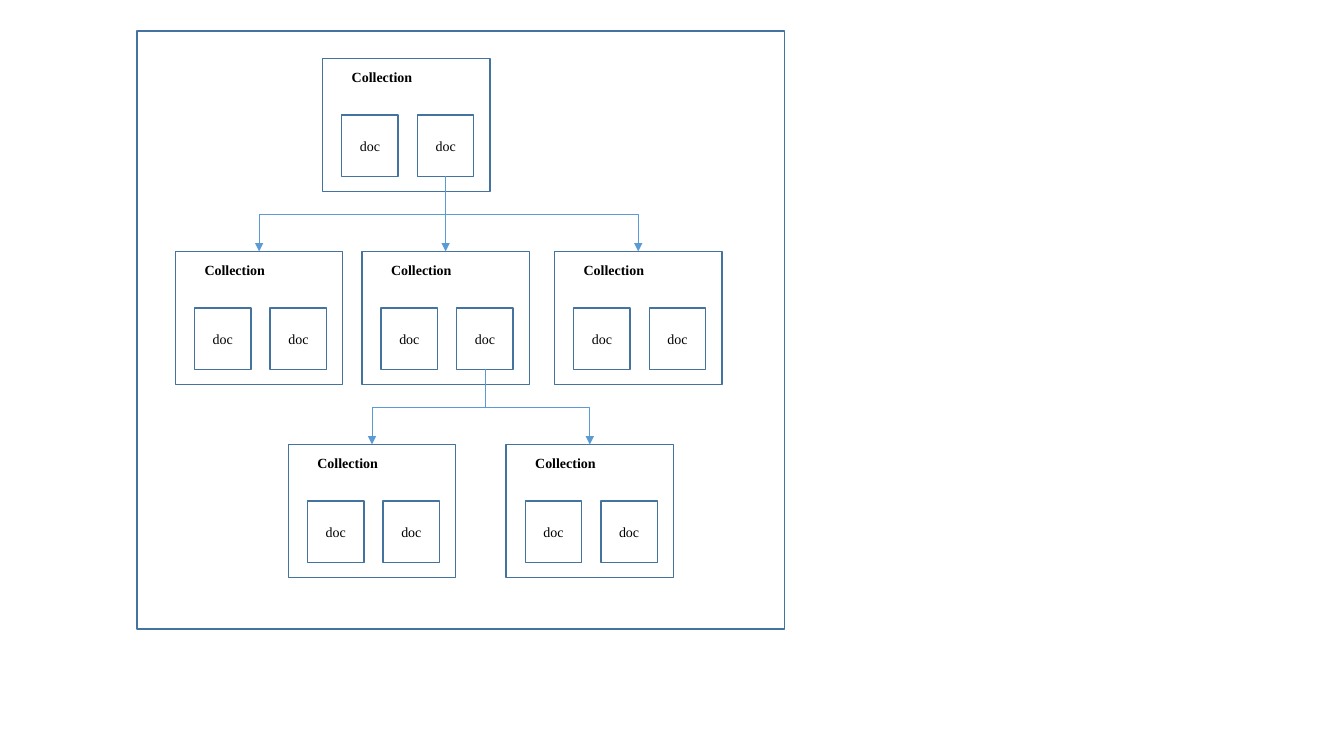
from pptx import Presentation
from pptx.dml.color import RGBColor
from pptx.enum.shapes import MSO_CONNECTOR as CONNECTOR, MSO_SHAPE as SHAPE
from pptx.enum.text import MSO_ANCHOR as ANCHOR, PP_ALIGN as ALIGN
from pptx.oxml.ns import qn
from pptx.util import Inches, Pt
from lxml import etree

BOX_BLUE = RGBColor(0x43, 0x73, 0x9E)
ARROW_BLUE = RGBColor(0x5B, 0x9B, 0xD5)
BLACK = RGBColor(0, 0, 0)

# Layout in inches: rows of collections, docs inside each collection
ROW_TOP, ROW_STEP = 0.58, 1.915
COLLECTION_WIDTH, COLLECTION_HEIGHT = 1.66, 1.32
INDENT, LABEL_DROP, DOC_DROP, DOC_STEP = 0.19, 0.05, 0.56, 0.75
ROWS = [[3.2], [1.74, 3.59, 5.5], [2.86, 5.02]]

presentation = Presentation()
presentation.slide_width, presentation.slide_height = Inches(13.33), Inches(7.5)
slide = presentation.slides.add_slide(presentation.slide_layouts[6])


def add_box(left, top, width, height):
    shape = slide.shapes.add_shape(
        SHAPE.RECTANGLE, Inches(left), Inches(top), Inches(width), Inches(height))
    shape.shadow.inherit = False
    shape.fill.background()
    shape.line.color.rgb = BOX_BLUE
    shape.line.width = Pt(1)
    return shape


def write(shape, text, bold=False, align=ALIGN.LEFT, anchor=ANCHOR.TOP):
    frame = shape.text_frame
    frame.word_wrap = True
    frame.vertical_anchor = anchor
    paragraph = frame.paragraphs[0]
    paragraph.alignment = align
    run = paragraph.add_run()
    run.text = text
    run.font.name, run.font.size, run.font.bold = "Times New Roman", Pt(10), bold
    run.font.color.rgb = BLACK


# Outer frame
add_box(1.36, 0.31, 6.42, 5.93)

# Collections, each with a label and two docs
collections, last_docs = [], []
for row, lefts in enumerate(ROWS):
    top = ROW_TOP + row * ROW_STEP
    collections.append([])
    for left in lefts:
        collections[row].append(add_box(left, top, COLLECTION_WIDTH, COLLECTION_HEIGHT))
        label = slide.shapes.add_textbox(
            Inches(left + INDENT), Inches(top + LABEL_DROP), Inches(1.12), Inches(0.27))
        write(label, "Collection", bold=True)
        for column in range(2):
            doc = add_box(left + INDENT + column * DOC_STEP, top + DOC_DROP, 0.56, 0.61)
            write(doc, "doc", align=ALIGN.CENTER, anchor=ANCHOR.MIDDLE)
        last_docs.append(doc)

# Arrows from a parent doc down to each collection of the next row
for parent, children in ((last_docs[0], collections[1]), (last_docs[2], collections[2])):
    start_x, start_y = parent.left + parent.width // 2, parent.top + parent.height
    for child in children:
        end_x, end_y = child.left + child.width // 2, child.top
        across, down = end_x - start_x, end_y - start_y
        straight = abs(across) < Inches(0.01)
        connector = slide.shapes.add_connector(
            CONNECTOR.STRAIGHT if straight else CONNECTOR.ELBOW,
            start_x, start_y, end_x, end_y)
        connector.begin_connect(parent, 2)
        connector.end_connect(child, 0)
        properties = connector._element.spPr
        if not straight:
            # Turn the elbow so that it leaves and arrives vertically
            connector.left = (start_x + end_x - down) // 2
            connector.top = (start_y + end_y - abs(across)) // 2
            connector.width, connector.height = down, abs(across)
            transform = properties.find(qn("a:xfrm"))
            transform.set("rot", "16200000" if across > 0 else "5400000")
            transform.set("flipH", "1" if across > 0 else "0")
        connector.line.color.rgb = ARROW_BLUE
        connector.line.width = Pt(0.5)
        etree.SubElement(properties.find(qn("a:ln")), qn("a:tailEnd"), type="triangle")
        etree.SubElement(properties, qn("a:effectLst"))

presentation.save("out.pptx")
